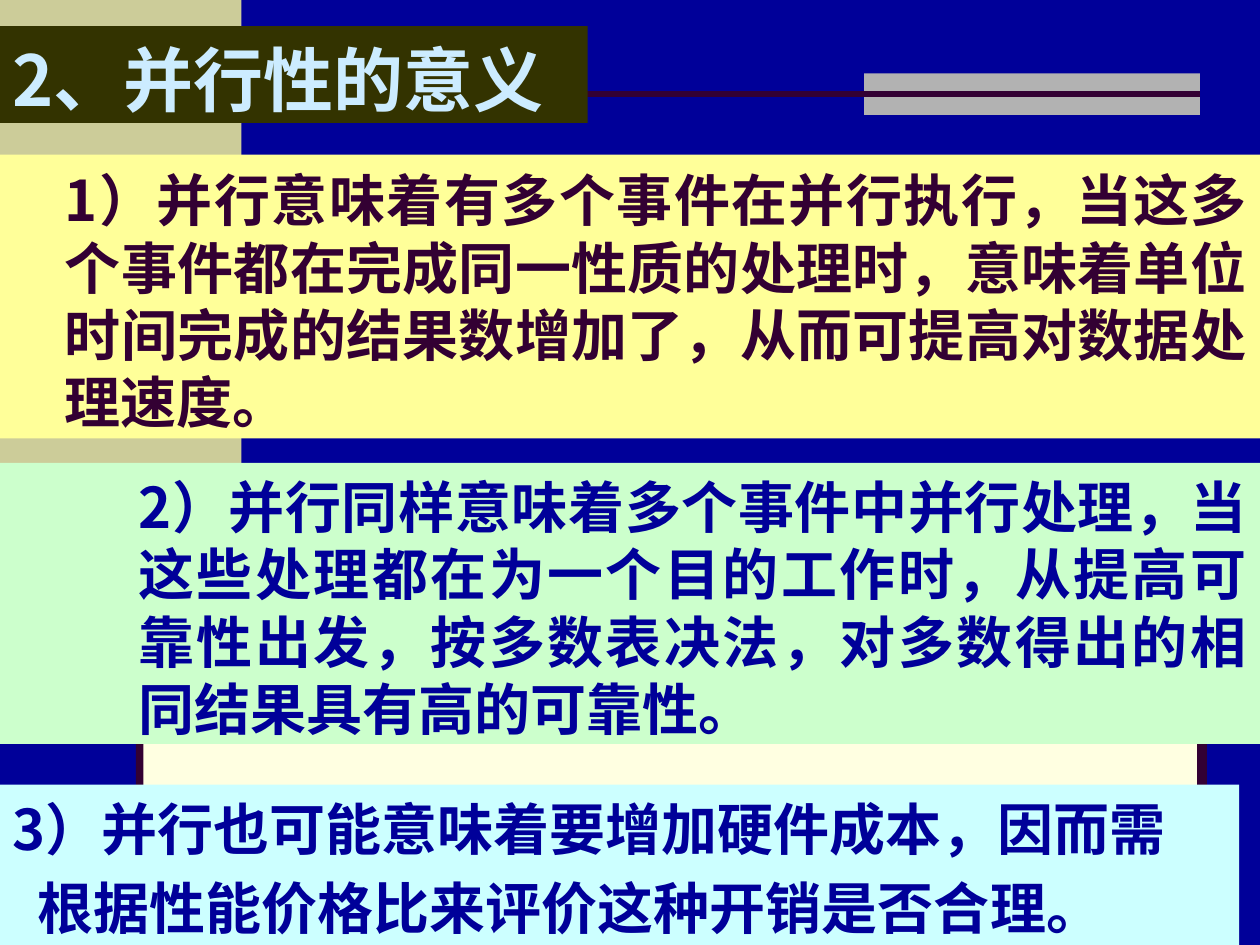
from lxml import etree
from pptx import Presentation
from pptx.dml.color import RGBColor
from pptx.enum.lang import MSO_LANGUAGE_ID
from pptx.enum.shapes import MSO_CONNECTOR, MSO_SHAPE
from pptx.enum.text import MSO_ANCHOR, PP_ALIGN
from pptx.oxml.ns import qn
from pptx.util import Cm, Pt

RECT, STRAIGHT = MSO_SHAPE.RECTANGLE, MSO_CONNECTOR.STRAIGHT
LEFT, JUSTIFY = PP_ALIGN.LEFT, PP_ALIGN.JUSTIFY
TOP, MIDDLE = MSO_ANCHOR.TOP, MSO_ANCHOR.MIDDLE
CHINESE = MSO_LANGUAGE_ID.SIMPLIFIED_CHINESE


class Theme:
    font = "Noto Sans CJK SC"
    title_size, body_size = 40, 32
    line_height = 1.2
    navy, plum, khaki, ivory, grey = "000099", "330033", "CCCC99", "FFFFE1", "B2B2B2"
    olive, sky = "333300", "CCECFF"
    yellow, green, cyan = "FFFF99", "CCFFCC", "CCFFFF"


# Content: boxes are left, top, width, height in cm
BLOCKS = [
    dict(box=(0, 0, 4.87, 13.55), fill=Theme.khaki),
    dict(box=(2.74, 9.74, 21.59, 6.77), fill=Theme.plum),
    dict(box=(2.89, 10.36, 21.24, 5.95), fill=Theme.ivory),
    dict(box=(17.42, 1.48, 6.77, 0.84), fill=Theme.grey),
]
# Rules are start x, end x, y in cm, then weight in points
RULES = [(0, 2.74, 13.55, 4), (1.74, 24.2, 1.9, 3.5)]
PANELS = [
    dict(box=(0, 3.12, 25.4, 5.72), fill=Theme.yellow, color=Theme.plum,
         size=Theme.body_size, align=JUSTIFY, anchor=MIDDLE, before=0.2,
         paras=[(1.06, "1）并行意味着有多个事件在并行执行，当这多个事件都在完成同一性质的处理时，"
                       "意味着单位时间完成的结果数增加了，从而可提高对数据处理速度。")]),
    dict(box=(0, 9.33, 25.4, 5.67), fill=Theme.green, color=Theme.navy,
         size=Theme.body_size, align=JUSTIFY, anchor=TOP, before=0.2,
         paras=[(2.54, "2）并行同样意味着多个事件中并行处理，当这些处理都在为一个目的工作时，"
                       "从提高可靠性出发，按多数表决法，对多数得出的相同结果具有高的可靠性。")]),
    dict(box=(0, 15.82, 24.98, 3.23), fill=Theme.cyan, color=Theme.navy,
         size=Theme.body_size, align=JUSTIFY, anchor=TOP, before=0.2,
         paras=[(0, "3）并行也可能意味着要增加硬件成本，因而需"),
                (0.51, "根据性能价格比来评价这种开销是否合理。")]),
    dict(box=(0, 0.53, 11.85, 1.95), fill=Theme.olive, color=Theme.sky,
         size=Theme.title_size, align=LEFT, anchor=TOP, before=0,
         paras=[(0, "2、并行性的意义")]),
]


def set_attrs(obj, values):
    for name, value in values.items():
        setattr(obj, name, value)


def add_block(slide, box, fill):
    sp = slide.shapes.add_shape(RECT, *map(Cm, box))
    sp.shadow.inherit = False
    sp.fill.solid()
    sp.fill.fore_color.rgb = RGBColor.from_string(fill)
    sp.line.fill.background()
    return sp


def add_rule(slide, x1, x2, y, weight):
    line = slide.shapes.add_connector(STRAIGHT, Cm(x1), Cm(y), Cm(x2), Cm(y))
    line.line.color.rgb = RGBColor.from_string(Theme.plum)
    line.line.width = Pt(weight)
    etree.SubElement(line._element.spPr, qn("a:effectLst"))


def add_panel(slide, box, fill, color, size, align, anchor, before, paras):
    tf = add_block(slide, box, fill).text_frame
    set_attrs(tf, dict(word_wrap=True, vertical_anchor=anchor,
                       margin_left=Cm(0.25), margin_right=Cm(0.25),
                       margin_top=Cm(0.2), margin_bottom=Cm(0.05)))
    for i, (indent, text) in enumerate(paras):
        p = tf.add_paragraph() if i else tf.paragraphs[0]
        set_attrs(p, dict(alignment=align, line_spacing=Pt(size * Theme.line_height),
                          space_before=Pt(size * before if i else 0)))
        p._p.get_or_add_pPr().set("marL", str(Cm(indent)))
        r = p.add_run()
        r.text = text
        set_attrs(r.font, dict(name=Theme.font, size=Pt(size), bold=True,
                               language_id=CHINESE))
        r.font.color.rgb = RGBColor.from_string(color)
        # East Asian typeface
        ea = etree.SubElement(r.font._element, qn("a:ea"))
        ea.set("typeface", Theme.font)


# Slide
prs = Presentation()
prs.slide_width, prs.slide_height = Cm(25.4), Cm(19.05)
slide = prs.slides.add_slide(prs.slide_layouts[6])
slide.background.fill.solid()
slide.background.fill.fore_color.rgb = RGBColor.from_string(Theme.navy)

# Backdrop, then text panels
for block in BLOCKS:
    add_block(slide, **block)
for rule in RULES:
    add_rule(slide, *rule)
for panel in PANELS:
    add_panel(slide, **panel)

prs.save("out.pptx")
